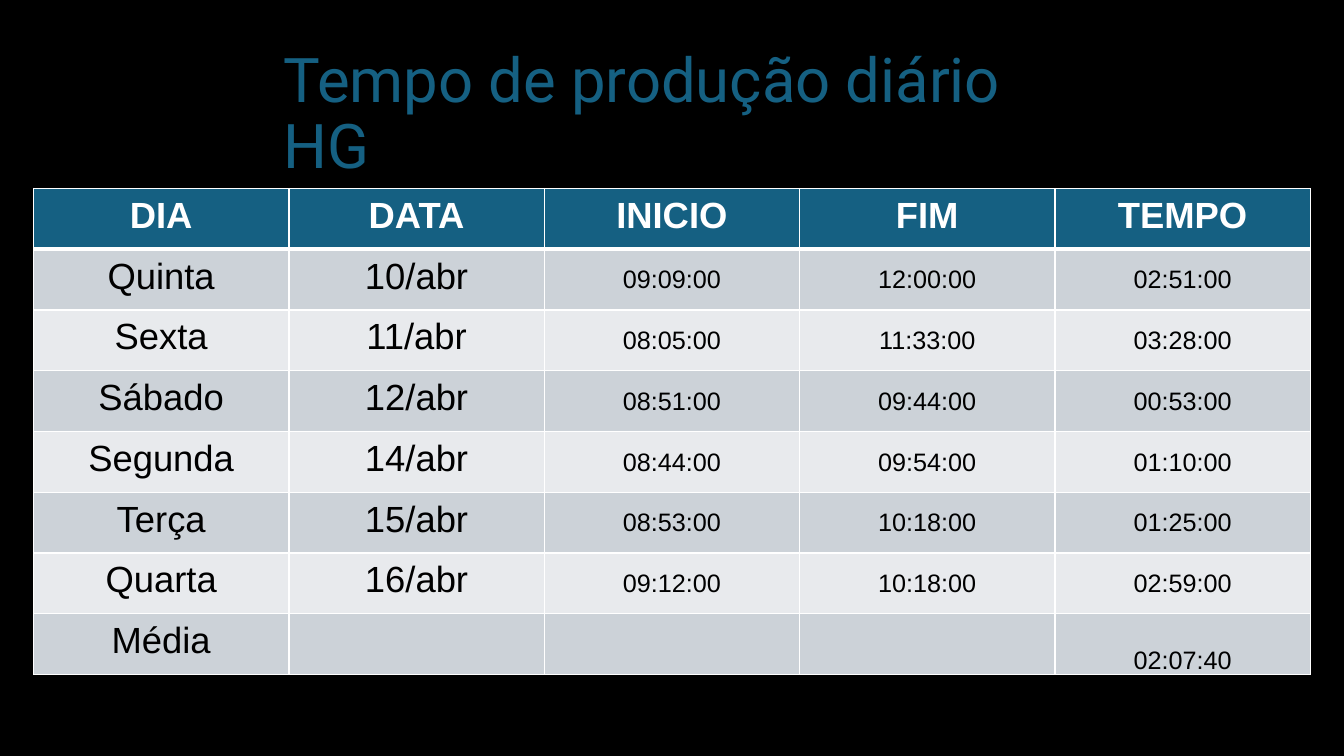
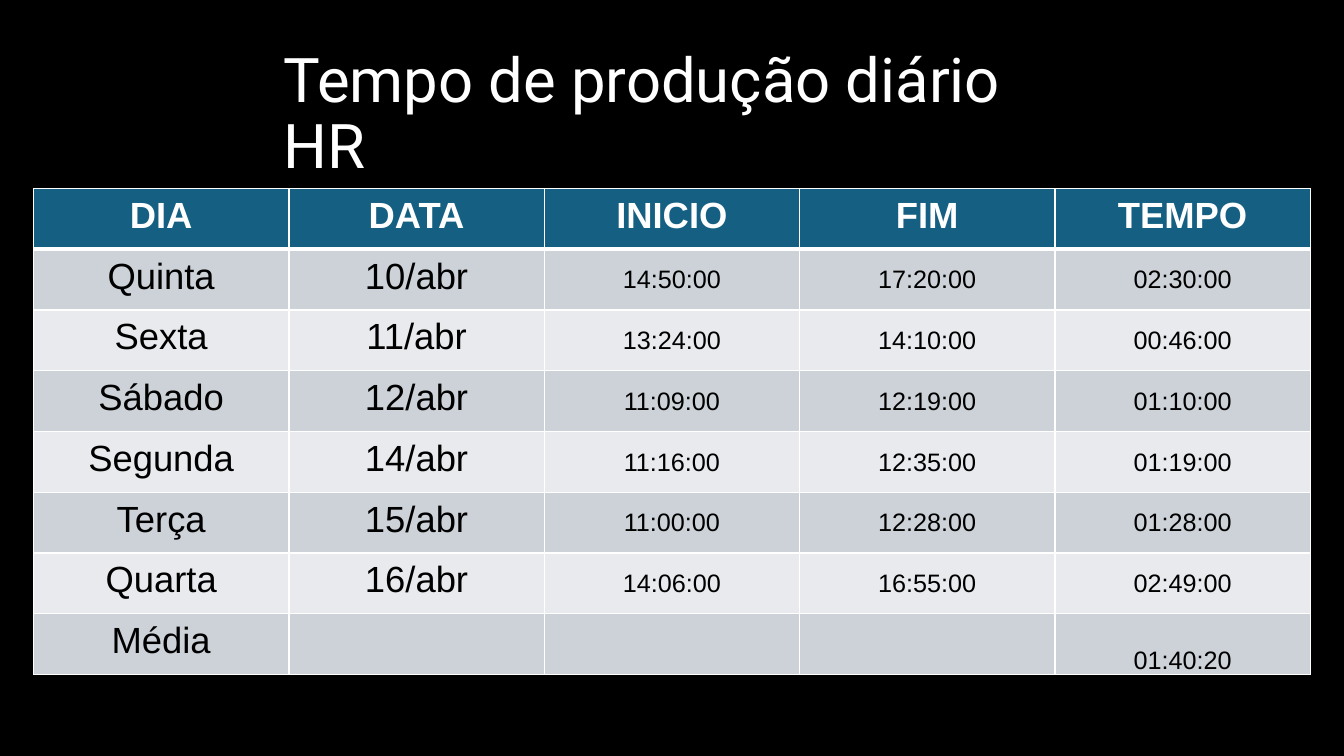
"""Build two slides of daily production times, one table each."""
from dataclasses import dataclass

from lxml.etree import SubElement
from pptx import Presentation
from pptx.dml.color import RGBColor
from pptx.enum.text import MSO_ANCHOR, MSO_AUTO_SIZE, PP_ALIGN
from pptx.oxml.ns import qn
from pptx.util import Pt


@dataclass(frozen=True)
class Theme:
    background: RGBColor = RGBColor.from_string("000000")
    accent: RGBColor = RGBColor.from_string("156082")
    light: RGBColor = RGBColor.from_string("FFFFFF")
    dark: RGBColor = RGBColor.from_string("000000")
    odd_band: RGBColor = RGBColor.from_string("CCD2D8")
    even_band: RGBColor = RGBColor.from_string("E8EAED")
    title_font: str = "Roboto"
    table_font: str = "Arial"
    title_size: Pt = Pt(44)
    label_size: Pt = Pt(26)
    time_size: Pt = Pt(18)


def style_font(paragraph, name, size, color, bold=False):
    for run in paragraph.runs:
        run.font.name = name
        run.font.size = size
        run.font.color.rgb = color
        run.font.bold = bold


def add_borders(cell, color, top, bottom):
    properties = cell._tc.get_or_add_tcPr()
    for side, width in (("L", 1), ("R", 1), ("T", top), ("B", bottom)):
        line = SubElement(properties, qn(f"a:ln{side}"), w=str(Pt(width)))
        fill = SubElement(line, qn("a:solidFill"))
        SubElement(fill, qn("a:srgbClr"), val=str(color))


theme = Theme()
headers = ["DIA", "DATA", "INICIO", "FIM", "TEMPO"]
days = [
    ("Quinta", "10/abr"),
    ("Sexta", "11/abr"),
    ("Sábado", "12/abr"),
    ("Segunda", "14/abr"),
    ("Terça", "15/abr"),
    ("Quarta", "16/abr"),
]
reports = [
    (
        "Tempo de produção diário HG",
        theme.accent,
        [
            ("09:09:00", "12:00:00", "02:51:00"),
            ("08:05:00", "11:33:00", "03:28:00"),
            ("08:51:00", "09:44:00", "00:53:00"),
            ("08:44:00", "09:54:00", "01:10:00"),
            ("08:53:00", "10:18:00", "01:25:00"),
            ("09:12:00", "10:18:00", "02:59:00"),
        ],
        "02:07:40",
    ),
    (
        "Tempo de produção diário HR",
        theme.light,
        [
            ("14:50:00", "17:20:00", "02:30:00"),
            ("13:24:00", "14:10:00", "00:46:00"),
            ("11:09:00", "12:19:00", "01:10:00"),
            ("11:16:00", "12:35:00", "01:19:00"),
            ("11:00:00", "12:28:00", "01:28:00"),
            ("14:06:00", "16:55:00", "02:49:00"),
        ],
        "01:40:20",
    ),
]

presentation = Presentation()
presentation.slide_width, presentation.slide_height = Pt(960), Pt(540)
master_fill = presentation.slide_master.background.fill
master_fill.solid()
master_fill.fore_color.rgb = theme.background
title_only = presentation.slide_layouts.get_by_name("Title Only")

for heading, heading_color, times, average in reports:
    slide = presentation.slides.add_slide(title_only)
    title = slide.shapes.title
    title.left, title.top = Pt(195.2), Pt(30.2)
    title.width, title.height = Pt(569.6), Pt(104.4)
    title.text_frame.text = heading
    title.text_frame.word_wrap = True
    title.text_frame.auto_size = MSO_AUTO_SIZE.NONE
    title.text_frame.vertical_anchor = MSO_ANCHOR.MIDDLE
    paragraph = title.text_frame.paragraphs[0]
    paragraph.alignment = PP_ALIGN.LEFT
    paragraph.line_spacing = 0.9
    style_font(paragraph, theme.title_font, theme.title_size, heading_color)

    rows = [headers]
    rows += [day + interval for day, interval in zip(days, times)]
    rows.append(("Média", "", "", "", average))
    table = slide.shapes.add_table(
        len(rows), len(headers), Pt(24), Pt(134.6), Pt(912), Pt(347.2)
    ).table

    for row_index, values in enumerate(rows):
        is_header = row_index == 0
        is_average = row_index == len(rows) - 1
        band = theme.odd_band if row_index % 2 else theme.even_band
        for column_index, value in enumerate(values):
            cell = table.cell(row_index, column_index)
            is_time = column_index >= 2 and not is_header
            add_borders(cell, theme.light, 3 if row_index == 1 else 1, 3 if is_header else 1)
            cell.fill.solid()
            cell.fill.fore_color.rgb = theme.accent if is_header else band
            cell.margin_left = cell.margin_right = Pt(0.7 if is_time else 10)
            cell.margin_top = Pt(0.7 if is_time else 5)
            cell.margin_bottom = Pt(0 if is_time else 5)
            if is_time:
                cell.vertical_anchor = MSO_ANCHOR.BOTTOM if is_average else MSO_ANCHOR.MIDDLE
            if value:
                cell.text_frame.text = value
                paragraph = cell.text_frame.paragraphs[0]
                paragraph.alignment = PP_ALIGN.CENTER
                style_font(
                    paragraph,
                    theme.table_font,
                    theme.time_size if is_time else theme.label_size,
                    theme.light if is_header else theme.dark,
                    is_header,
                )

presentation.save("out.pptx")
